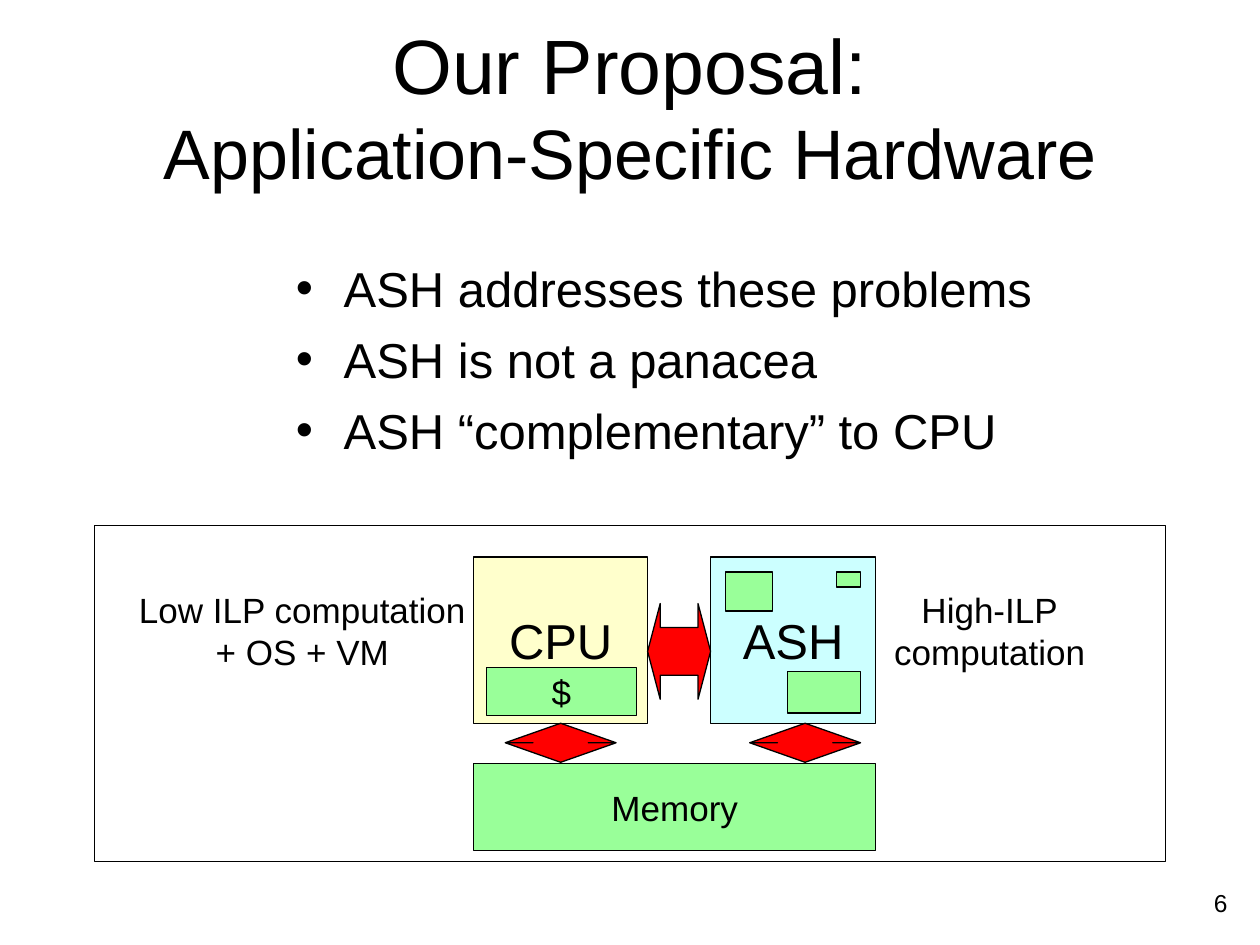
from dataclasses import dataclass

from lxml.etree import SubElement
from pptx import Presentation
from pptx.dml.color import RGBColor
from pptx.enum.shapes import MSO_SHAPE
from pptx.enum.text import MSO_ANCHOR, MSO_AUTO_SIZE, PP_ALIGN
from pptx.oxml.ns import qn
from pptx.util import Inches, Pt


@dataclass(frozen=True)
class Theme:
    font: str = "Arial"
    ink: str = "000000"
    cpu: str = "FFFFCC"
    ash: str = "CCFFFF"
    memory: str = "99FF99"
    arrow: str = "FF0000"
    title: int = 44
    subtitle: int = 40
    body: int = 28
    label: int = 20
    number: int = 14
    line: float = 0.75


def write(tf, text, sizes, theme, align=PP_ALIGN.CENTER, anchor=MSO_ANCHOR.TOP,
          wrap=True, grow=False, bullet=False, before=0):
    tf.word_wrap, tf.vertical_anchor = wrap, anchor
    if grow:
        tf.auto_size = MSO_AUTO_SIZE.SHAPE_TO_FIT_TEXT
    for i, line in enumerate(text.split("\n")):
        p = tf.add_paragraph() if i else tf.paragraphs[0]
        p.text, p.alignment, p.space_before = line, align, Pt(before)
        for r, size in zip(p.runs, sizes):
            r.font.name, r.font.size = theme.font, Pt(size)
            r.font.color.rgb = RGBColor.from_string(theme.ink)
        if bullet:
            pPr = p._p.get_or_add_pPr()
            pPr.set("marL", str(Inches(0.38)))
            pPr.set("indent", str(-Inches(0.38)))
            SubElement(pPr, qn("a:buFont"), typeface=theme.font)
            SubElement(pPr, qn("a:buChar"), char="•")


class Deck:
    """Draws on the current slide in a grid of 100 columns by 75 rows."""

    def __init__(self, theme):
        self.theme = theme
        self.prs = Presentation()
        self.prs.slide_width, self.prs.slide_height = Inches(10), Inches(7.5)
        self.s = self.prs.slides.add_slide(self.prs.slide_layouts[6])

    def cells(self, col, row, cols, rows):
        w, h = self.prs.slide_width / 100, self.prs.slide_height / 75
        return [round(v) for v in (col * w, row * h, cols * w, rows * h)]

    def text(self, text, at, *sizes, **form):
        sp = self.s.shapes.add_textbox(*self.cells(*at))
        write(sp.text_frame, text, sizes, self.theme, **form)

    def label(self, text, at):
        self.text(text, at, self.theme.label, wrap=False, grow=True)

    def shape(self, kind, at, fill=None):
        sp = self.s.shapes.add_shape(kind, *self.cells(*at))
        sp.shadow.inherit = False
        if fill:
            sp.fill.solid()
            sp.fill.fore_color.rgb = RGBColor.from_string(fill)
        else:
            sp.fill.background()
        sp.line.color.rgb = RGBColor.from_string(self.theme.ink)
        sp.line.width = Pt(self.theme.line)
        return sp

    def box(self, at, fill=None, text="", size=None):
        sp = self.shape(MSO_SHAPE.RECTANGLE, at, fill)
        if text:
            write(sp.text_frame, text, [size], self.theme,
                  anchor=MSO_ANCHOR.MIDDLE, wrap=False)

    def arrow(self, kind, at, adjustments):
        sp = self.shape(kind, at, self.theme.arrow)
        for i, value in enumerate(adjustments):
            sp.adjustments[i] = value


def main():
    t = Theme()
    d = Deck(t)
    d.text("Our Proposal:\vApplication-Specific Hardware", (7.5, 5, 85, 6.7),
           t.title, t.subtitle, anchor=MSO_ANCHOR.MIDDLE)
    d.text("ASH addresses these problems\nASH is not a panacea\n"
           "ASH “complementary” to CPU", (22.5, 20, 61.7, 18.3), t.body,
           align=PP_ALIGN.LEFT, bullet=True, before=7)

    d.box((7.5, 41.7, 85, 26.7))
    d.label("High-ILP\ncomputation", (69.5, 46.2, 18.1, 7.7))
    d.label("Low ILP computation\n+ OS + VM", (10, 46.2, 28, 7.7))

    d.box((37.6, 44.2, 13.8, 13.2), t.cpu, "CPU", t.body)
    d.box((56.4, 44.2, 13.1, 13.2), t.ash, "ASH", t.body)
    d.box((37.6, 60.6, 31.9, 6.9), t.memory, "Memory", t.label)
    d.box((38.6, 53, 11.9, 3.8), t.memory, "$", t.label)
    for at in ((57.6, 45.4, 3.7, 3.1), (66.4, 45.4, 1.9, 1.2), (62.5, 53.3, 5.8, 3.3)):
        d.box(at, t.memory)

    shaft, head = 0.5, 0.2
    d.arrow(MSO_SHAPE.LEFT_RIGHT_ARROW, (51.4, 47.9, 5, 7.6), (shaft, head))
    for col in (40.1, 59.5):
        d.arrow(MSO_SHAPE.UP_DOWN_ARROW, (col, 57.4, 8.8, 3.1), (head, shaft))

    d.text("6", (79.2, 70, 19.2, 5), t.number, align=PP_ALIGN.RIGHT)
    d.prs.save("out.pptx")


if __name__ == "__main__":
    main()
